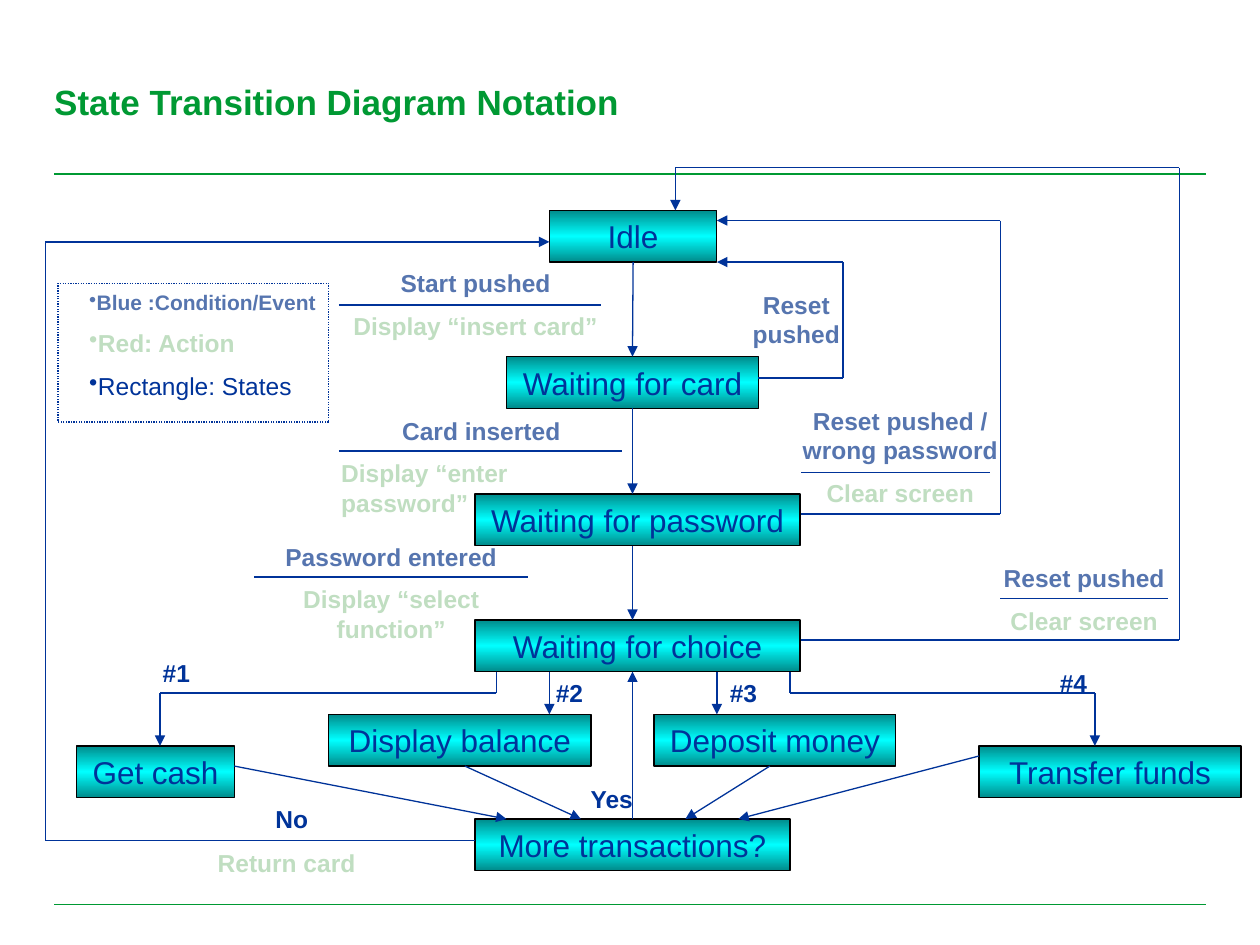
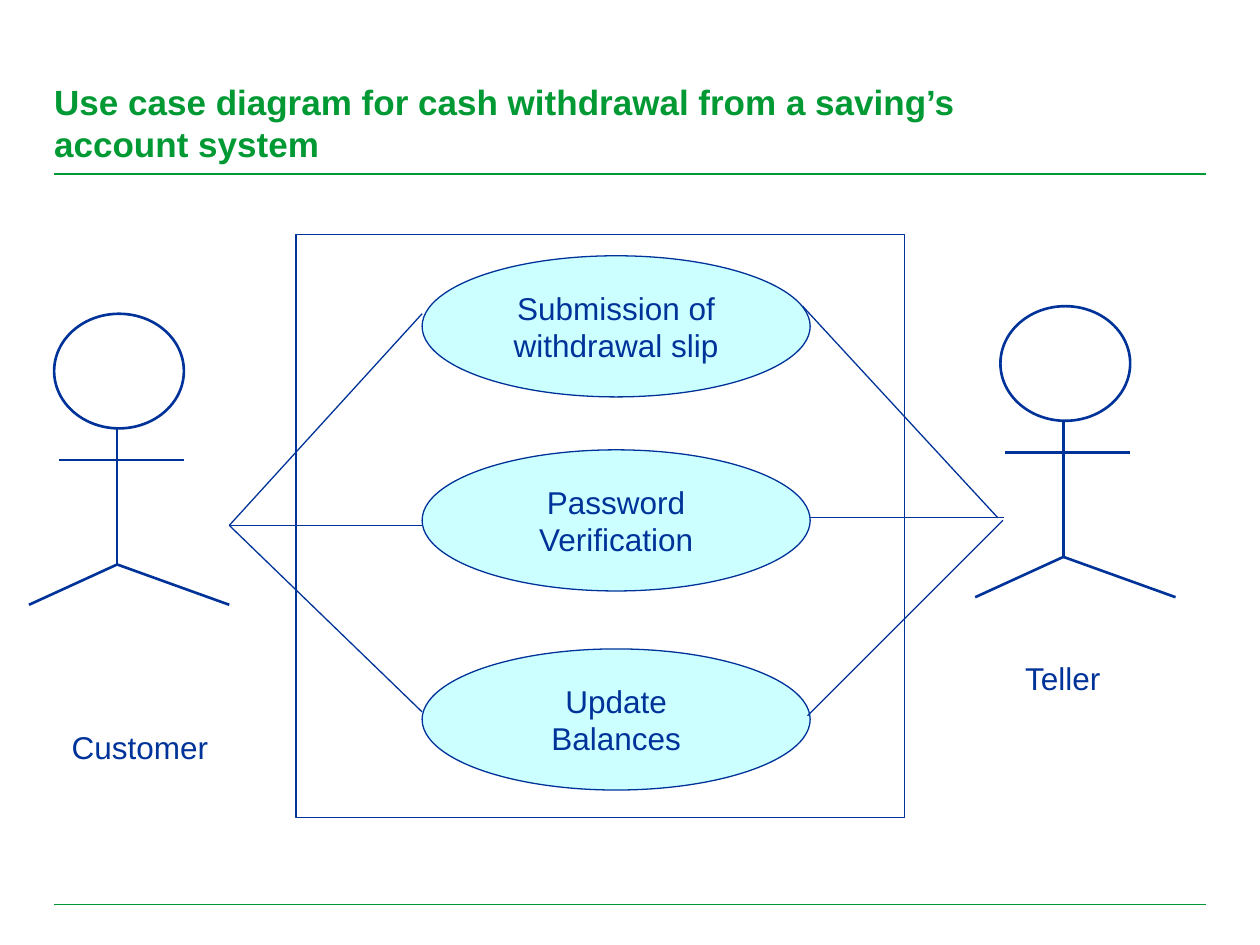
from copy import deepcopy
from itertools import pairwise

from pptx import Presentation
from pptx.dml.color import RGBColor
from pptx.enum.dml import MSO_LINE
from pptx.enum.shapes import MSO_CONNECTOR, MSO_SHAPE
from pptx.enum.text import MSO_ANCHOR, MSO_AUTO_SIZE, PP_ALIGN
from pptx.oxml.ns import qn
from pptx.util import Inches, Pt
from lxml.etree import SubElement

FONT = "Arial"
GREEN, NAVY, BLACK = "009933", "003399", "000000"
EVENT, ACTION = "5675AF", "C0DEC1"
TEAL, CYAN, PALE_CYAN = "008B8B", "00FFFF", "CCFFFF"
RULE_LEFT, RULE_RIGHT, RULE_TOPS = 0.43, 9.57, (1.38, 7.18)

# State: left, top, width
STATE_HEIGHT = 0.41
STATES = {
    "Idle": (4.36, 1.67, 1.33),
    "Waiting for card": (4.02, 2.83, 2),
    "Waiting for password": (3.77, 3.92, 2.58),
    "Waiting for choice": (3.77, 4.92, 2.58),
    "Get cash": (0.61, 5.92, 1.25),
    "Display balance": (2.61, 5.67, 2.08),
    "Deposit money": (5.19, 5.67, 1.92),
    "Transfer funds": (7.77, 5.92, 2.08),
    "More transactions?": (3.77, 6.5, 2.5),
}

# Each transition runs through its points and ends in an arrowhead
TRANSITIONS = [
    [(5.02, 2.08), (5.02, 2.83)],
    [(5.02, 3.25), (5.02, 3.92)],
    [(5.02, 4.33), (5.02, 4.92)],
    [(4.36, 5.33), (4.36, 5.67)],
    [(5.69, 5.33), (5.69, 5.67)],
    [(6.27, 5.33), (6.27, 5.5), (8.69, 5.5), (8.69, 5.92)],
    [(3.94, 5.33), (3.94, 5.5), (1.27, 5.5), (1.27, 5.92)],
    [(6.02, 3), (6.69, 3), (6.69, 2.08), (5.69, 2.08)],
    [(6.36, 4.08), (7.94, 4.08), (7.94, 1.75), (5.69, 1.75)],
    [(6.36, 5.08), (9.36, 5.08), (9.36, 1.33), (5.36, 1.33), (5.36, 1.67)],
    [(3.69, 6.08), (4.61, 6.5)],
    [(1.86, 6.08), (4.02, 6.5)],
    [(6.11, 6.08), (5.44, 6.5)],
    [(7.77, 6), (5.86, 6.5)],
    [(3.77, 6.67), (0.36, 6.67), (0.36, 1.92), (4.36, 1.92)],
    [(5.02, 6.5), (5.02, 5.33)],
]

# Left, top, width, height, then text and colour of each paragraph
LABELS = [
    (2.44, 2.08, 2.67, 0.68, [("Start pushed", EVENT), ("Display “insert card”", ACTION)]),
    (5.86, 2.25, 0.92, 0.57, [("Reset pushed", EVENT)]),
    (2.61, 3.25, 2.42, 0.91, [("Card inserted", EVENT), ("Display “enter password”", ACTION)]),
    (6.27, 3.17, 1.75, 0.91, [("Reset pushed / wrong password", EVENT), ("Clear screen", ACTION)]),
    (7.69, 4.42, 1.83, 0.68, [("Reset pushed", EVENT), ("Clear screen", ACTION)]),
    (1.94, 4.25, 2.33, 0.91, [("Password entered", EVENT), ("Display “select function”", ACTION)]),
    (1.19, 6.68, 2.17, 0.33, [("Return card", ACTION)]),
    (1.11, 5.17, 0.58, 0.33, [("#1", NAVY)]),
    (4.27, 5.33, 0.5, 0.33, [("#2", NAVY)]),
    (5.69, 5.33, 0.42, 0.33, [("#3", NAVY)]),
    (8.27, 5.25, 0.5, 0.33, [("#4", NAVY)]),
    (1.94, 6.33, 0.75, 0.33, [("No", NAVY)]),
    (4.52, 6.17, 0.67, 0.33, [("Yes", NAVY)]),
]
LEFT_ALIGNED = "Display “enter password”"

# Left, right and height of the line between an event and its action
DIVIDERS = [(2.69, 4.77, 2.42), (2.69, 4.94, 3.58), (6.36, 7.86, 3.75),
            (7.94, 9.27, 4.75), (2.02, 4.19, 4.58)]

# Text, colour, size, bold
LEGEND = [("Blue :Condition/Event", EVENT, 12, True),
          ("Red: Action", ACTION, 14, True),
          ("Rectangle: States", NAVY, 14, False)]

USE_CASES = [(2.03, ["Submission of", "withdrawal slip"]),
             (3.57, ["Password", "Verification"]),
             (5.15, ["Update", "Balances"])]
ASSOCIATIONS = [
    [(1.82, 4.17), (3.35, 4.17)], [(6.43, 4.11), (7.97, 4.11)],
    [(3.35, 2.49), (1.82, 4.17)], [(1.82, 4.17), (3.35, 5.65)],
    [(6.37, 2.43), (7.92, 4.11)], [(6.41, 5.68), (7.96, 4.13)],
]

# Actor: left and top of the head, then its name box
ACTORS = [
    (7.94, 2.43, "Teller", (7.41, 5.18, 2.05, 0.5), PP_ALIGN.CENTER),
    (0.43, 2.49, "Customer", (0.47, 5.73, 1.61, 0.5), PP_ALIGN.LEFT),
]
HEAD_SIZE = (1.03, 0.91)
# Limbs measured from the head's left and top
LIMBS = [[(0.5, 0.91), (0.5, 1.99)], [(0.5, 1.99), (-0.2, 2.31)],
         [(0.5, 1.99), (1.39, 2.31)], [(0.04, 1.16), (1.03, 1.16)]]


def rgb(value):
    return RGBColor.from_string(value)


def style_paragraph(para, text, color, size, bold=False, align=PP_ALIGN.CENTER):
    para.text = text
    para.alignment = align
    font = para.font
    font.name, font.size, font.bold = FONT, Pt(size), bold
    font.color.rgb = rgb(color)


def next_paragraph(frame, index):
    """Return the frame's first paragraph, or add one set apart from the last."""
    if index == 0:
        return frame.paragraphs[0]
    para = frame.add_paragraph()
    para.space_before = Pt(7.5)
    return para


def add_text_box(page, place):
    frame = page.shapes.add_textbox(*map(Inches, place)).text_frame
    frame.word_wrap = True
    return frame


def add_outline(page, kind, place, color=NAVY, width=0.75):
    shape = page.shapes.add_shape(kind, *map(Inches, place))
    shape.shadow.inherit = False
    shape.fill.background()
    shape.line.color.rgb = rgb(color)
    shape.line.width = Pt(width)
    return shape


def add_line(page, start, end, color=NAVY, width=0.75, arrow=False):
    line = page.shapes.add_connector(MSO_CONNECTOR.STRAIGHT, *map(Inches, (*start, *end)))
    line.line.color.rgb = rgb(color)
    line.line.width = Pt(width)
    properties = line.element.spPr
    if arrow:
        SubElement(properties.find(qn("a:ln")), qn("a:tailEnd"), type="triangle")
    SubElement(properties, qn("a:effectLst"))
    return line


def add_page(deck, layout, title, height):
    page = deck.slides.add_slide(layout)
    box = page.shapes.title
    box.left, box.top, box.width, box.height = map(Inches, (RULE_LEFT, 0.64, 8.14, height))
    frame = box.text_frame
    frame.margin_left = frame.margin_right = frame.margin_top = frame.margin_bottom = 0
    frame.vertical_anchor = MSO_ANCHOR.TOP
    frame.word_wrap = True
    frame.auto_size = MSO_AUTO_SIZE.NONE
    style_paragraph(frame.paragraphs[0], title, GREEN, 20, True, PP_ALIGN.LEFT)
    return page


def move_rules_to_layout(page, layout):
    """Draw the two green rules once and hand them to the layout."""
    for top in RULE_TOPS:
        rule = add_line(page, (RULE_LEFT, top), (RULE_RIGHT, top), GREEN)
        layout.shapes.element.append(rule.element)


def add_state(page, name, left, top, width):
    box = add_outline(page, MSO_SHAPE.RECTANGLE, (left, top, width, STATE_HEIGHT), BLACK)
    box.fill.gradient()
    box.fill.gradient_angle = 90
    stop_list = box.element.spPr.find(qn("a:gradFill")).find(qn("a:gsLst"))
    stop_list.append(deepcopy(stop_list[0]))
    for stop, position, color in zip(box.fill.gradient_stops, (0, 0.5, 1), (TEAL, CYAN, TEAL)):
        stop.position = position
        stop.color.rgb = rgb(color)
    frame = box.text_frame
    frame.margin_left = frame.margin_right = Inches(0.05)
    frame.vertical_anchor = MSO_ANCHOR.MIDDLE
    style_paragraph(frame.paragraphs[0], name, NAVY, 18)
    return box


def find_side(boxes, point):
    """Return the box and side whose middle lies at the point, or None."""
    x, y = map(Inches, point)
    for box in boxes:
        center, middle = box.left + box.width // 2, box.top + box.height // 2
        sides = [(center, box.top), (box.left, middle),
                 (center, box.top + box.height), (box.left + box.width, middle)]
        for side, (side_x, side_y) in enumerate(sides):
            if max(abs(side_x - x), abs(side_y - y)) < Inches(0.02):
                return box, side
    return None


def add_transition(page, points, boxes):
    segments = list(pairwise(points))
    lines = [add_line(page, start, end, arrow=index == len(segments))
             for index, (start, end) in enumerate(segments, 1)]
    begin, finish = find_side(boxes, points[0]), find_side(boxes, points[-1])
    if begin:
        lines[0].begin_connect(*begin)
    if finish:
        lines[-1].end_connect(*finish)


def add_legend(page):
    frame = add_text_box(page, (0.61, 2.25, 2.19, 1))
    for index, (text, color, size, bold) in enumerate(LEGEND):
        para = next_paragraph(frame, index)
        properties = para._p.get_or_add_pPr()
        properties.set("marL", "0")
        properties.set("indent", "0")
        SubElement(properties, qn("a:buChar"), char="•")
        style_paragraph(para, text, color, size, bold, PP_ALIGN.LEFT)
    border = add_outline(page, MSO_SHAPE.RECTANGLE, (0.46, 2.25, 2.15, 1.1))
    border.line.dash_style = MSO_LINE.ROUND_DOT


def draw_state_diagram(page):
    boxes = [add_state(page, name, *place) for name, place in STATES.items()]
    for points in TRANSITIONS:
        add_transition(page, points, boxes)
    for left, right, top in DIVIDERS:
        add_line(page, (left, top), (right, top))
    for *place, lines in LABELS:
        frame = add_text_box(page, place)
        for index, (text, color) in enumerate(lines):
            align = PP_ALIGN.LEFT if text == LEFT_ALIGNED else PP_ALIGN.CENTER
            style_paragraph(next_paragraph(frame, index), text, color, 14, True, align)
    add_legend(page)


def draw_actor(page, left, top, name, name_place, align):
    add_outline(page, MSO_SHAPE.OVAL, (left, top, *HEAD_SIZE), width=1.5)
    for limb in LIMBS:
        start, end = [(left + x, top + y) for x, y in limb]
        add_line(page, start, end, width=1.5)
    frame = add_text_box(page, name_place)
    style_paragraph(frame.paragraphs[0], name, NAVY, 18, align=align)


def draw_use_cases(page):
    add_outline(page, MSO_SHAPE.RECTANGLE, (2.35, 1.86, 4.83, 4.63))
    for actor in ACTORS:
        draw_actor(page, *actor)
    for top, lines in USE_CASES:
        oval = add_outline(page, MSO_SHAPE.OVAL, (3.35, top, 3.08, 1.12))
        oval.fill.solid()
        oval.fill.fore_color.rgb = rgb(PALE_CYAN)
        frame = oval.text_frame
        frame.word_wrap = False
        frame.vertical_anchor = MSO_ANCHOR.MIDDLE
        for index, text in enumerate(lines):
            para = frame.add_paragraph() if index else frame.paragraphs[0]
            style_paragraph(para, text, NAVY, 18)
    for start, end in ASSOCIATIONS:
        add_line(page, start, end)


def main():
    deck = Presentation()
    deck.slide_width, deck.slide_height = Inches(10), Inches(7.5)
    layout = deck.slide_layouts.get_by_name("Title Only")
    page = add_page(deck, layout, "State Transition Diagram Notation", 0.34)
    move_rules_to_layout(page, layout)
    draw_state_diagram(page)
    page = add_page(deck, layout, "Use case diagram for cash withdrawal from a saving’s account system", 0.67)
    draw_use_cases(page)
    deck.save("out.pptx")


if __name__ == "__main__":
    main()
